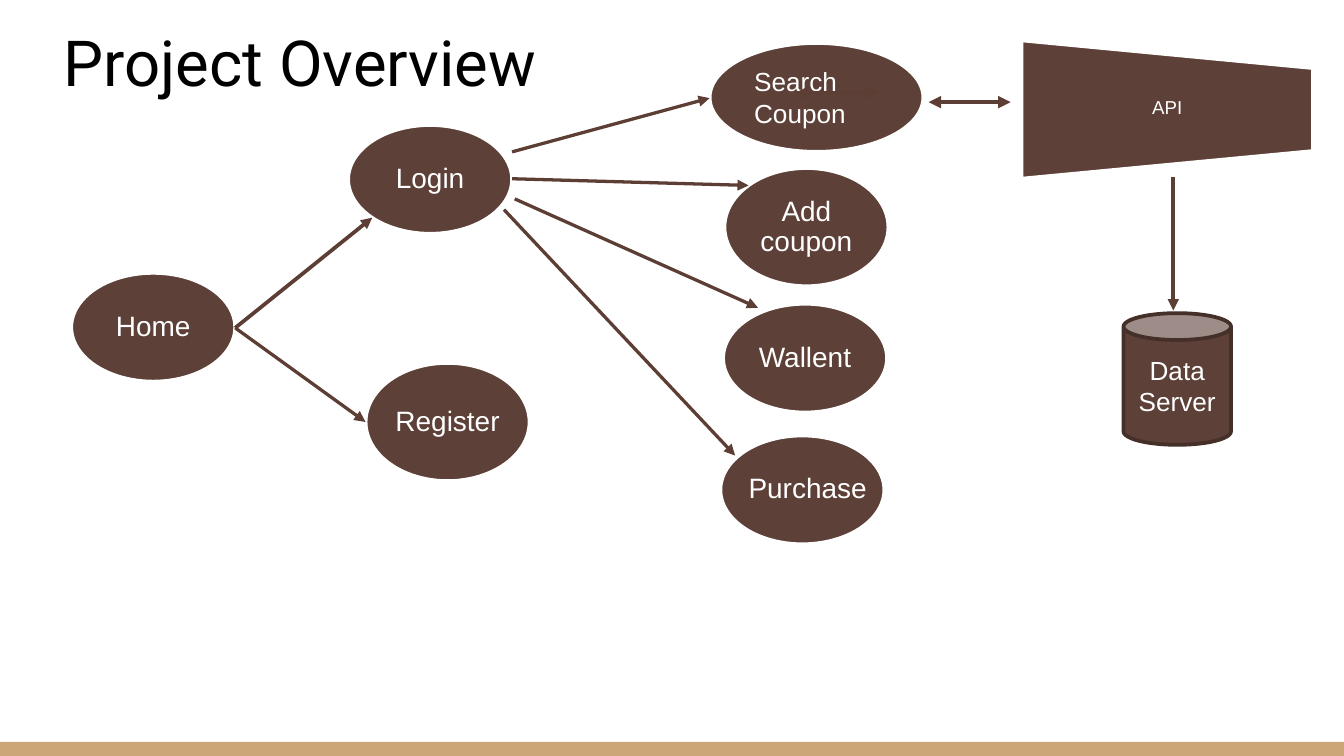
from lxml import etree
from pptx import Presentation
from pptx.dml.color import RGBColor
from pptx.enum.shapes import MSO_CONNECTOR as CONN, MSO_SHAPE as SHAPE
from pptx.enum.text import MSO_ANCHOR as ANCHOR, PP_ALIGN as ALIGN
from pptx.oxml.ns import qn
from pptx.util import Inches, Pt

BROWN = RGBColor(0x5D, 0x40, 0x37)
ARROW = RGBColor(0x5C, 0x3E, 0x35)
EDGE = RGBColor(0x45, 0x2F, 0x29)
TAN = RGBColor(0xCC, 0xA6, 0x77)
WHITE = RGBColor(0xFF, 0xFF, 0xFF)
BLACK = RGBColor(0, 0, 0)

prs = Presentation()
prs.slide_width = Inches(10)
prs.slide_height = Inches(5.625)
s = prs.slides.add_slide(prs.slide_layouts[6])
COL = prs.slide_width / 100
ROW = prs.slide_height / 56.25


def add_block(kind, x, y, w, h, fill, line):
    sp = s.shapes.add_shape(kind, int(x * COL), int(y * ROW), int(w * COL), int(h * ROW))
    sp.shadow.inherit = False
    sp.fill.solid()
    sp.fill.fore_color.rgb = fill
    sp.line.color.rgb = line
    sp.line.width = Pt(2)
    return sp


def write(sp, lines, size, color=WHITE, font="Arial", align=ALIGN.CENTER,
          anchor=ANCHOR.MIDDLE, spacing=1.0):
    tf = sp.text_frame
    tf.word_wrap = True
    tf.vertical_anchor = anchor
    for i, line in enumerate(lines):
        p = tf.paragraphs[0] if i == 0 else tf.add_paragraph()
        p.text = line
        p.alignment = align
        p.line_spacing = spacing
        p.font.name = font
        p.font.size = Pt(size)
        p.font.color.rgb = color
    return tf


footer = add_block(SHAPE.RECTANGLE, 0, 55.2, 100, 1.05, TAN, TAN)
footer.line.fill.background()

title = s.shapes.add_textbox(int(3.78 * COL), int(1.2 * ROW), int(90 * COL), int(6.7 * ROW))
write(title, ["Project Overview"], 34, BLACK, "Roboto", ALIGN.LEFT, ANCHOR.TOP)

for label, x, y, h, right in [
    ("Home", 5.3, 20.3, 8.1, 0.01),
    ("Login", 25.9, 9.3, 8.1, 0.01),
    ("Register", 27.2, 27, 8.8, 0.01),
    ("Add coupon", 53.9, 12.5, 8.8, 0.01),
    ("Wallent", 53.8, 22.6, 8.1, 0.01),
    ("Purchase", 53.6, 32.4, 8.1, -0.07),
]:
    node = add_block(SHAPE.OVAL, x, y, 12.2, h, BROWN, WHITE)
    tf = write(node, [label], 15, spacing=0.9)
    tf.margin_left = tf.margin_top = tf.margin_bottom = Inches(0.01)
    tf.margin_right = Inches(right)

search = add_block(SHAPE.OVAL, 52.8, 3.2, 15.9, 8.1, BROWN, WHITE)
write(search, ["Search", "Coupon"], 14, align=ALIGN.LEFT, anchor=ANCHOR.TOP)

api = add_block(SHAPE.FLOWCHART_MANUAL_OPERATION, 81.7, -2.7, 10.3, 21.7, BROWN, WHITE)
api.rotation = 270
api_label = s.shapes.add_textbox(int(76 * COL), int(5 * ROW), int(21.7 * COL), int(6.2 * ROW))
tf = write(api_label, ["API"], 10, spacing=0.9)
tf.margin_top = tf.margin_bottom = 0

database = add_block(SHAPE.CAN, 83.6, 23.3, 8, 9.8, BROWN, EDGE)
write(database, ["Data", "Server"], 14)

for x1, y1, x2, y2, width, ends in [
    (17.5, 24.4, 27.7, 16.2, 2, ["tailEnd"]),
    (17.5, 24.4, 27.2, 31.4, 1.75, ["tailEnd"]),
    (38.1, 11.3, 52.8, 7.3, 1.75, ["tailEnd"]),
    (38.1, 13.3, 55.7, 13.8, 1.75, ["tailEnd"]),
    (38.3, 14.8, 56.4, 22.9, 1.75, ["tailEnd"]),
    (37.5, 15.6, 54.7, 33.9, 1.75, ["tailEnd"]),
    (59.2, 6.9, 65.4, 6.9, 2.25, ["headEnd", "tailEnd"]),
    (69.1, 7.6, 75.2, 7.6, 2.25, ["headEnd", "tailEnd"]),
    (87.3, 13.2, 87.3, 23.1, 2, ["tailEnd"]),
]:
    arrow = s.shapes.add_connector(CONN.STRAIGHT, int(x1 * COL), int(y1 * ROW),
                                   int(x2 * COL), int(y2 * ROW))
    arrow.line.color.rgb = ARROW
    arrow.line.width = Pt(width)
    ln = arrow.line._get_or_add_ln()
    for end in ends:
        etree.SubElement(ln, qn(f"a:{end}")).set("type", "triangle")
    etree.SubElement(arrow._element.spPr, qn("a:effectLst"))

prs.save("out.pptx")
